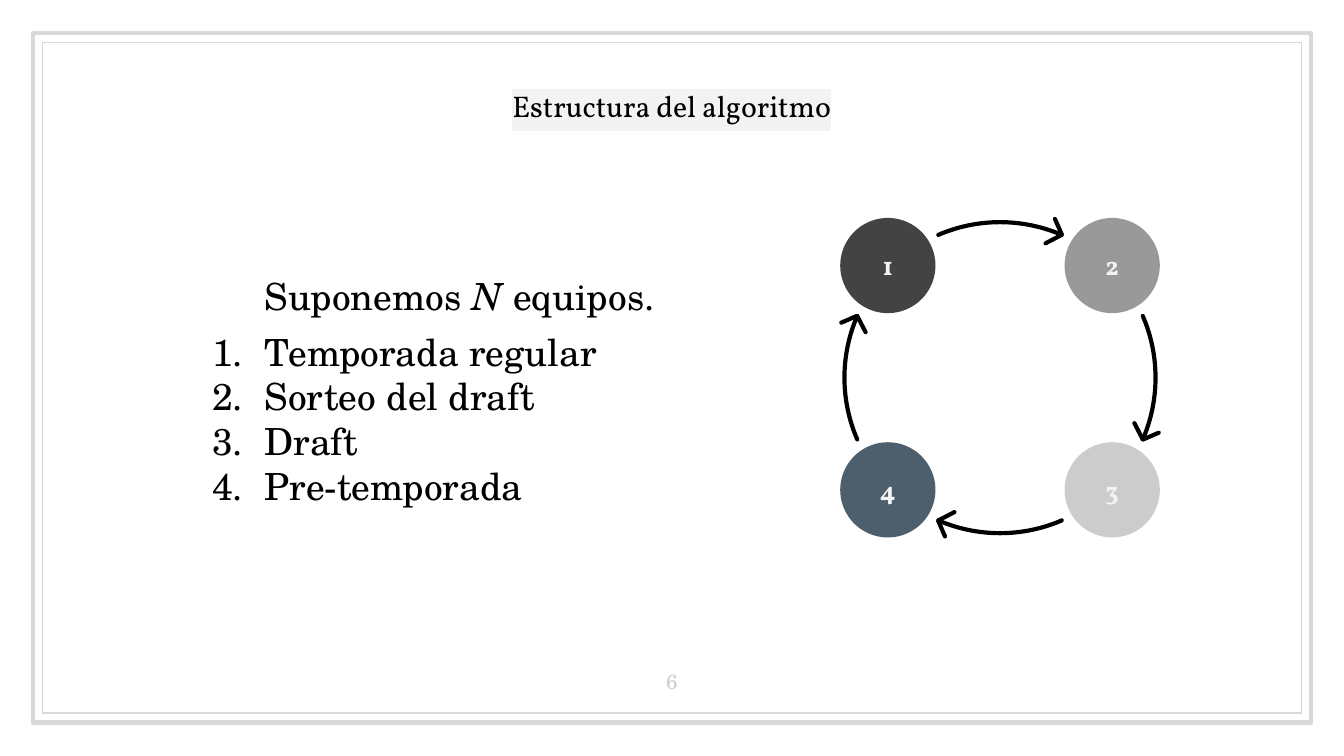
import dataclasses
import math

import lxml.etree
import pptx
import pptx.dml.color
import pptx.enum.shapes
import pptx.enum.text
import pptx.oxml.ns
import pptx.util
from pptx.util import Cm, Pt

ALIGN = pptx.enum.text.PP_ALIGN
ANCHOR = pptx.enum.text.MSO_ANCHOR
SHAPE = pptx.enum.shapes.MSO_SHAPE


@dataclasses.dataclass(frozen=True)
class Theme:
    title_font: str = "Vollkorn"
    body_font: str = "TeX Gyre Schola"
    title_size: float = 16
    body_size: float = 20
    number_size: float = 11
    step_size: float = 14
    ink: str = "000000"
    frame: str = "D9D9D9"
    pale: str = "F3F3F3"
    muted: str = "CCCCCC"
    steps: tuple = ("434343", "999999", "CCCCCC", "4D5F6D")
    arrow_width: float = 2.25


def color(value):
    return pptx.dml.color.RGBColor.from_string(value)


def add_xml(parent, tag, **attributes):
    return lxml.etree.SubElement(parent, pptx.oxml.ns.qn(tag), **attributes)


def quarter_turn(points, turns):
    """Rotate points clockwise around the origin by quarter turns."""
    for _ in range(turns):
        points = [(-y, x) for x, y in points]
    return points


def arc_points(radius, degrees):
    """Return two Bezier curves for an arc reaching that far either side of the top."""
    angle = math.radians(degrees)
    handle = 4 / 3 * math.tan(angle / 4) * radius
    sine, cosine = math.sin(angle), math.cos(angle)
    right = [(handle, -radius),
             (radius * sine - handle * cosine, -radius * cosine - handle * sine),
             (radius * sine, -radius * cosine)]
    left = [(-x, y) for x, y in reversed(right)]
    return [*left, (0, -radius), *right]


def bend(shape):
    """Turn each three straight segments of a freeform into one cubic curve."""
    segments = list(shape._element.iter(pptx.oxml.ns.qn("a:lnTo")))
    for start in range(0, len(segments), 3):
        curve = lxml.etree.Element(pptx.oxml.ns.qn("a:cubicBezTo"))
        segments[start].addprevious(curve)
        for segment in segments[start:start + 3]:
            curve.append(segment[0])
            segment.getparent().remove(segment)


class SlideBuilder:
    def __init__(self, slide, theme):
        self.slide = slide
        self.theme = theme

    def format_runs(self, paragraph, font, size, ink, bold=None):
        for run in paragraph.runs:
            run.font.name = font
            run.font.size = Pt(size)
            run.font.bold = bold
            run.font.color.rgb = color(ink)

    def format_frame(self, text_frame, anchor):
        text_frame.word_wrap = True
        text_frame.auto_size = pptx.enum.text.MSO_AUTO_SIZE.NONE
        text_frame.vertical_anchor = anchor
        text_frame.margin_left = text_frame.margin_right = Cm(0.25)
        text_frame.margin_top = text_frame.margin_bottom = Cm(0.25)

    def frame(self, inset, width):
        shape = self.slide.shapes.add_shape(
            SHAPE.RECTANGLE, Cm(inset), Cm(inset + 0.01),
            Cm(25.4 - 2 * inset), Cm(14.29 - 2 * inset - 0.02))
        shape.shadow.inherit = False
        shape.fill.background()
        shape.line.color.rgb = color(self.theme.frame)
        shape.line.width = Pt(width)

    def title(self, text):
        title = self.slide.shapes.title
        title.left, title.top = Cm(1.08), Cm(0.94)
        title.width, title.height = Cm(23.23), Cm(2.11)
        self.format_frame(title.text_frame, ANCHOR.MIDDLE)
        title.text_frame.text = text
        paragraph = title.text_frame.paragraphs[0]
        paragraph.alignment = ALIGN.CENTER
        self.format_runs(paragraph, self.theme.title_font,
                         self.theme.title_size, self.theme.ink)
        properties = paragraph.runs[0].font._element
        highlight = add_xml(properties, "a:highlight")
        add_xml(highlight, "a:srgbClr", val=self.theme.pale)
        properties.find(pptx.oxml.ns.qn("a:solidFill")).addnext(highlight)

    def numbered_list(self, intro, items):
        """Add an intro, given as (text, italic) pieces, and numbered items."""
        box = self.slide.shapes.add_textbox(Cm(3.48), Cm(3.53), Cm(18.44), Cm(8.51))
        text_frame = box.text_frame
        self.format_frame(text_frame, ANCHOR.MIDDLE)
        text_frame.margin_bottom = Cm(1.06)
        text_frame.text = "\n".join(["", *items])
        for index, paragraph in enumerate(text_frame.paragraphs):
            paragraph.space_before = Pt(6 if index < 2 else 0)
            properties = paragraph._p.get_or_add_pPr()
            properties.set("marL", str(Cm(1.27)))
            if index == 0:
                properties.set("indent", "0")
                for text, italic in intro:
                    run = paragraph.add_run()
                    run.text = text
                    run.font.italic = italic
            else:
                properties.set("indent", str(Cm(-0.99)))
                bullet_color = add_xml(properties, "a:buClr")
                add_xml(bullet_color, "a:srgbClr", val=self.theme.ink)
                add_xml(properties, "a:buFont", typeface=self.theme.body_font)
                add_xml(properties, "a:buAutoNum", type="arabicPeriod")
            self.format_runs(paragraph, self.theme.body_font,
                             self.theme.body_size, self.theme.ink)

    def page_number(self, text):
        box = self.slide.shapes.add_textbox(Cm(11.94), Cm(12.27), Cm(1.52), Cm(1.09))
        self.format_frame(box.text_frame, ANCHOR.BOTTOM)
        box.text_frame.text = text
        paragraph = box.text_frame.paragraphs[0]
        paragraph.alignment = ALIGN.CENTER
        self.format_runs(paragraph, self.theme.body_font,
                         self.theme.number_size, self.theme.muted)

    def step(self, text, center_x, center_y, fill):
        diameter = 1.8
        circle = self.slide.shapes.add_shape(
            SHAPE.OVAL, Cm(center_x - diameter / 2), Cm(center_y - diameter / 2),
            Cm(diameter), Cm(diameter))
        circle.shadow.inherit = False
        circle.fill.solid()
        circle.fill.fore_color.rgb = color(fill)
        circle.line.fill.background()
        text_frame = circle.text_frame
        text_frame.vertical_anchor = ANCHOR.MIDDLE
        text_frame.margin_left = text_frame.margin_right = Cm(0.18)
        text_frame.margin_top = text_frame.margin_bottom = Cm(0.1)
        text_frame.text = text
        paragraph = text_frame.paragraphs[0]
        paragraph.alignment = ALIGN.CENTER
        self.format_runs(paragraph, self.theme.title_font,
                         self.theme.step_size, self.theme.pale, bold=True)

    def open_line(self, points):
        points = [(Cm(x), Cm(y)) for x, y in points]
        builder = self.slide.shapes.build_freeform(*points[0])
        builder.add_line_segments(points[1:], close=False)
        shape = builder.convert_to_shape()
        shape.shadow.inherit = False
        shape.fill.background()
        shape.line.color.rgb = color(self.theme.ink)
        shape.line.width = Pt(self.theme.arrow_width)
        line = shape.line._get_or_add_ln()
        line.set("cap", "rnd")
        add_xml(line, "a:round")
        return shape

    def cycle(self, center_x, center_y):
        """Draw the steps clockwise, each with an arrow to the next one."""
        offset = 2.12
        arc = arc_points(2.94, 23.4)
        head = [(0.86, -2.54), (1.17, -2.7), (1.04, -3.0)]

        def place(points, turns):
            return [(center_x + x, center_y + y)
                    for x, y in quarter_turn(points, turns)]

        for turns, fill in enumerate(self.theme.steps):
            self.step(str(turns + 1), *place([(-offset, -offset)], turns)[0], fill)
            bend(self.open_line(place(arc, turns)))
            self.open_line(place(head, turns))


def main():
    presentation = pptx.Presentation()
    presentation.slide_width = Cm(25.4)
    presentation.slide_height = Cm(14.29)
    slide = presentation.slides.add_slide(presentation.slide_layouts[5])
    builder = SlideBuilder(slide, Theme())
    builder.frame(0.62, 2.25)
    builder.frame(0.8, 0.75)
    builder.title("Estructura del algoritmo")
    builder.numbered_list(
        [("Suponemos ", False), ("N", True), (" equipos.", False)],
        ["Temporada regular", "Sorteo del draft", "Draft", "Pre-temporada"])
    builder.page_number("6")
    builder.cycle(18.9, 7.14)
    presentation.save("out.pptx")


if __name__ == "__main__":
    main()
